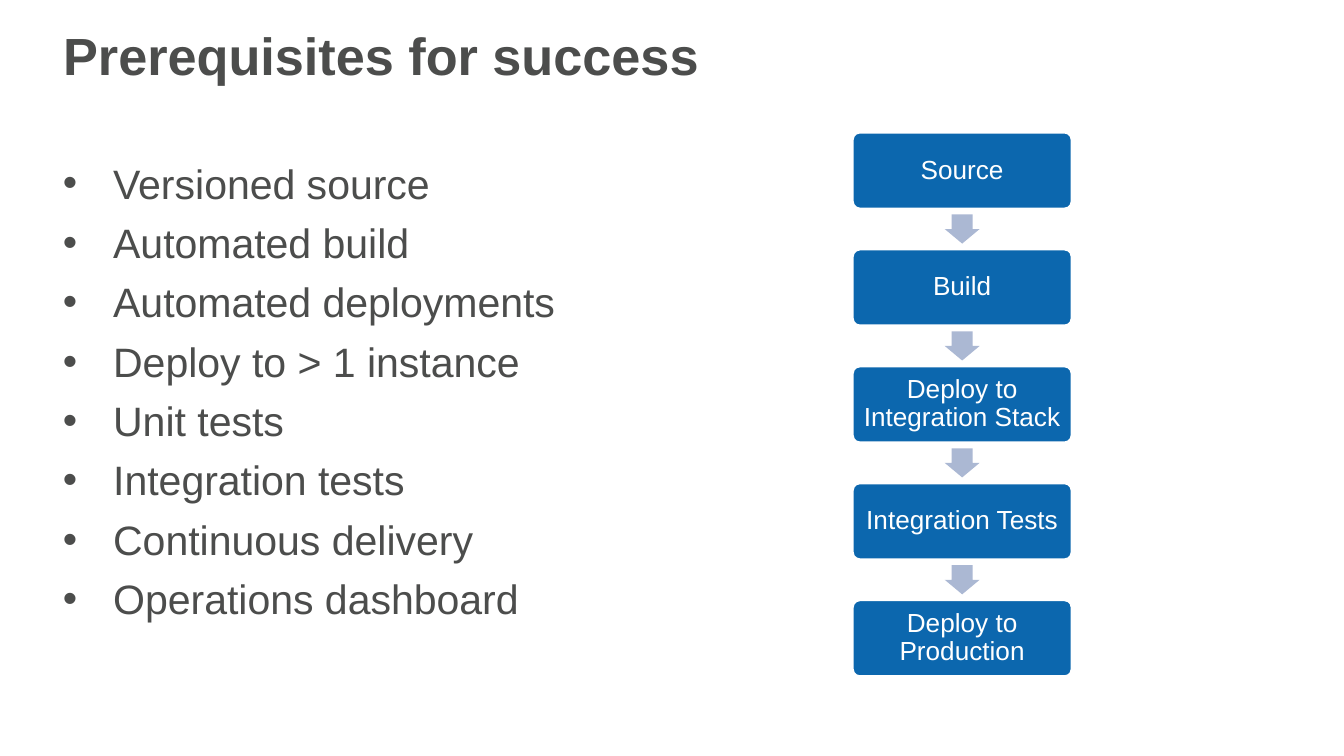
from pptx import Presentation
from pptx.dml.color import RGBColor
from pptx.enum.shapes import MSO_SHAPE
from pptx.enum.text import MSO_ANCHOR, PP_ALIGN
from pptx.oxml.ns import qn
from pptx.util import Cm, Pt
from lxml import etree

BOX, ARROW = MSO_SHAPE.ROUNDED_RECTANGLE, MSO_SHAPE.DOWN_ARROW
MIDDLE, TOP = MSO_ANCHOR.MIDDLE, MSO_ANCHOR.TOP
LEFT, CENTER = PP_ALIGN.LEFT, PP_ALIGN.CENTER
GREY = RGBColor(0x4C, 0x4D, 0x4C)
BLUE = RGBColor(0x0C, 0x67, 0xAE)
PALE = RGBColor(0xAB, 0xB8, 0xD3)
WHITE = RGBColor(0xFF, 0xFF, 0xFF)

POINTS = ["Versioned source", "Automated build", "Automated deployments",
          "Deploy to > 1 instance", "Unit tests", "Integration tests",
          "Continuous delivery", "Operations dashboard"]
STEPS = ["Source", "Build", "Deploy to Integration Stack",
         "Integration Tests", "Deploy to Production"]


class Deck:
    """Holds the style and the current slide, and draws each kind of element."""

    face = "Arial"

    def __init__(self, slide):
        self.slide = slide

    def style(self, para, size, color, align=LEFT, bold=False):
        para.alignment = align
        font = para.font
        font.name, font.size, font.bold = self.face, Pt(size), bold
        font.color.rgb = color

    def title(self, text, x, y, w, h):
        shape = self.slide.shapes.title
        shape.left, shape.top, shape.width, shape.height = map(Cm, (x, y, w, h))
        frame = shape.text_frame
        frame.text = text
        frame.vertical_anchor = MIDDLE
        self.style(frame.paragraphs[0], 28, GREY, bold=True)

    def bullets(self, items, x, y, w, h):
        frame = self.slide.shapes.add_textbox(*map(Cm, (x, y, w, h))).text_frame
        frame.word_wrap = True
        frame.vertical_anchor = TOP
        frame.margin_top = Cm(0.17)
        frame.text = "\n".join(items)
        for para in frame.paragraphs:
            self.style(para, 22, GREY)
            para.space_before = Pt(5.4)
            props = para._p.get_or_add_pPr()
            props.set("marL", str(Cm(0.95)))
            props.set("indent", str(-Cm(0.95)))
            last = props.find(qn("a:defRPr"))
            last.addprevious(etree.Element(qn("a:buFont"), typeface=self.face))
            last.addprevious(etree.Element(qn("a:buChar"), char="•"))

    def shape(self, kind, color, x, y, w, h):
        shape = self.slide.shapes.add_shape(kind, *map(Cm, (x, y, w, h)))
        shape.shadow.inherit = False
        shape.fill.solid()
        shape.fill.fore_color.rgb = color
        return shape

    def step(self, text, x, y, w, h):
        shape = self.shape(BOX, BLUE, x, y, w, h)
        shape.adjustments[0] = 0.1
        shape.line.color.rgb = WHITE
        shape.line.width = Pt(2)
        frame = shape.text_frame
        frame.word_wrap = True
        frame.vertical_anchor = MIDDLE
        frame.margin_left = frame.margin_right = Cm(0.1)
        frame.margin_top = frame.margin_bottom = Cm(0.1)
        frame.text = text
        para = frame.paragraphs[0]
        self.style(para, 14, WHITE, CENTER)
        para.line_spacing = 0.9

    def arrow(self, x, y, w, h):
        shape = self.shape(ARROW, PALE, x, y, w, h)
        shape.adjustments[0], shape.adjustments[1] = 0.6, 0.5
        shape.line.fill.background()

    def flow(self, steps, x, y, w, h, pitch):
        wide, high = 0.66, 0.55
        for i, text in enumerate(steps):
            top = y + i * pitch
            if i:
                self.arrow(x + (w - wide) / 2, top - (pitch - h + high) / 2,
                           wide, high)
            self.step(text, x, top, w, h)


def main():
    show = Presentation()
    show.slide_width, show.slide_height = Cm(25.4), Cm(14.29)
    deck = Deck(show.slides.add_slide(show.slide_layouts[5]))
    deck.title("Prerequisites for success", 0.94, 0.27, 22.78, 1.52)
    deck.bullets(POINTS, 0.94, 2.82, 11.23, 9.65)
    deck.flow(STEPS, 16.1, 2.49, 4.17, 1.47, 2.21)
    show.save("out.pptx")


if __name__ == "__main__":
    main()
